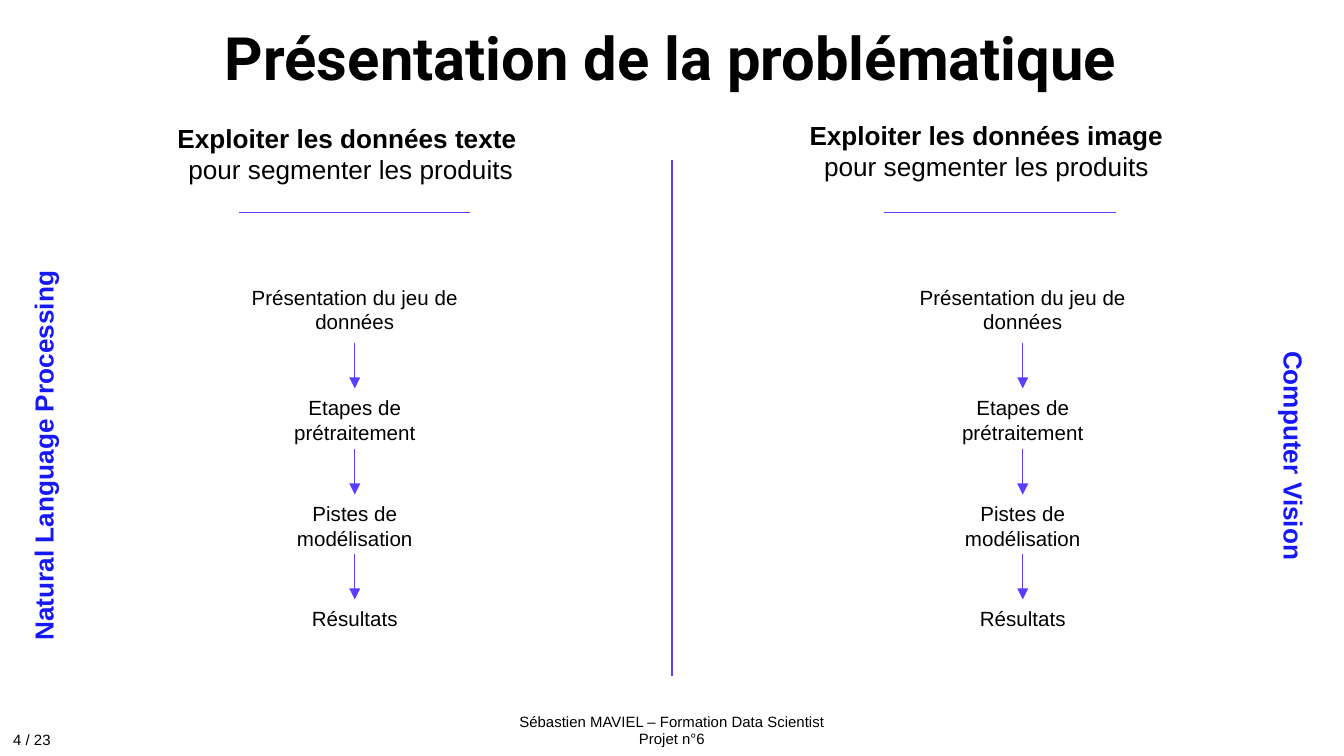
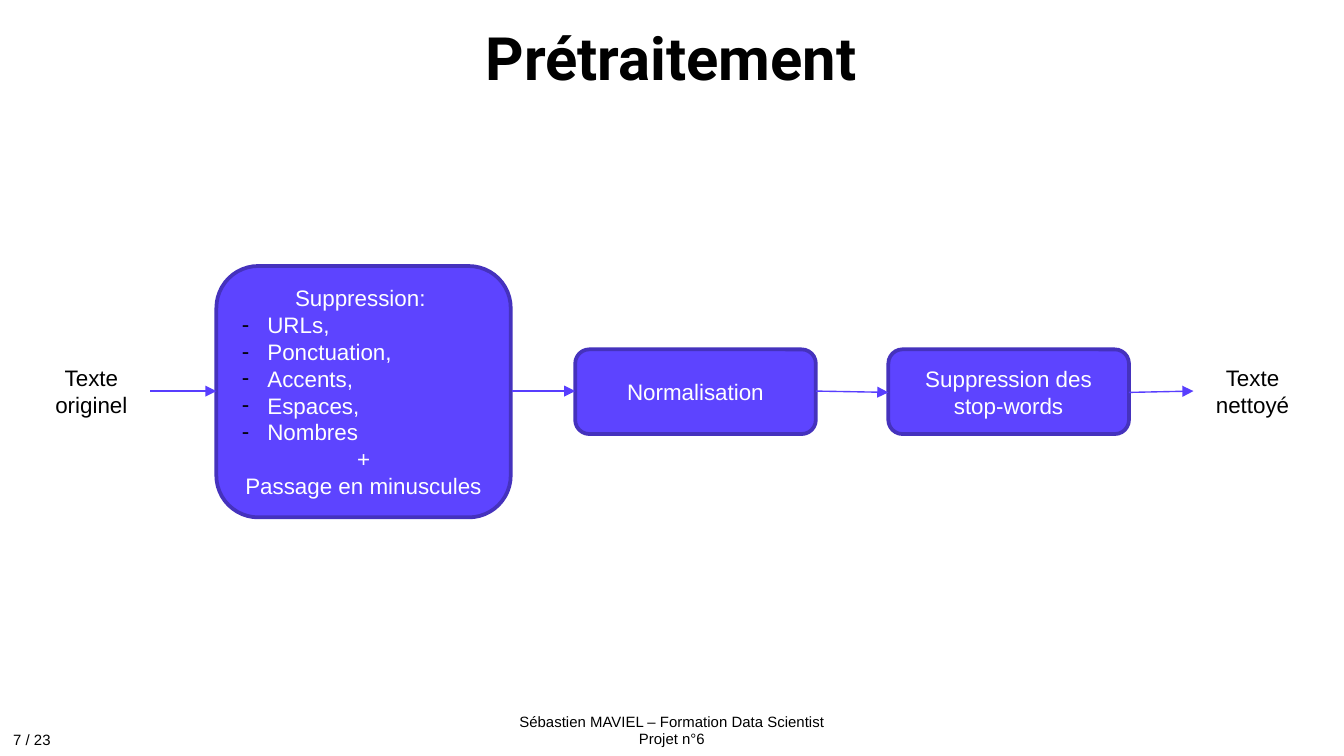
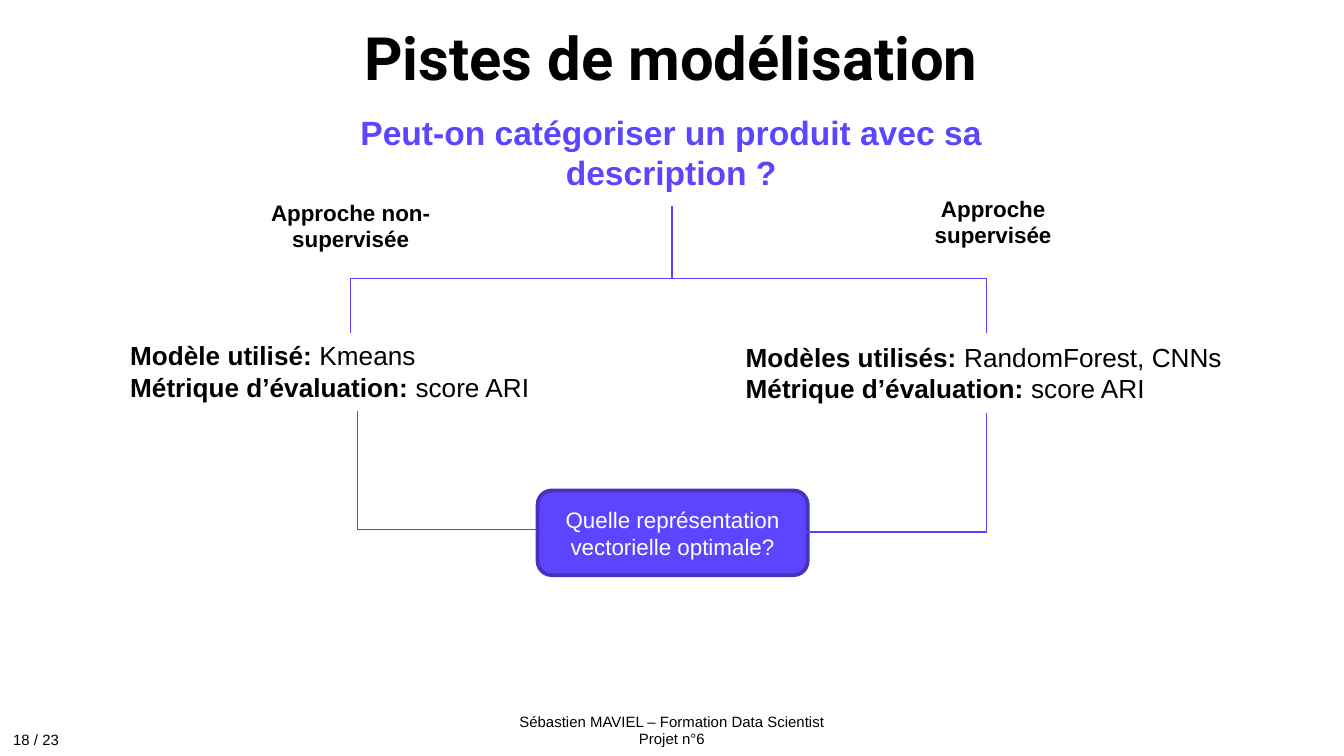
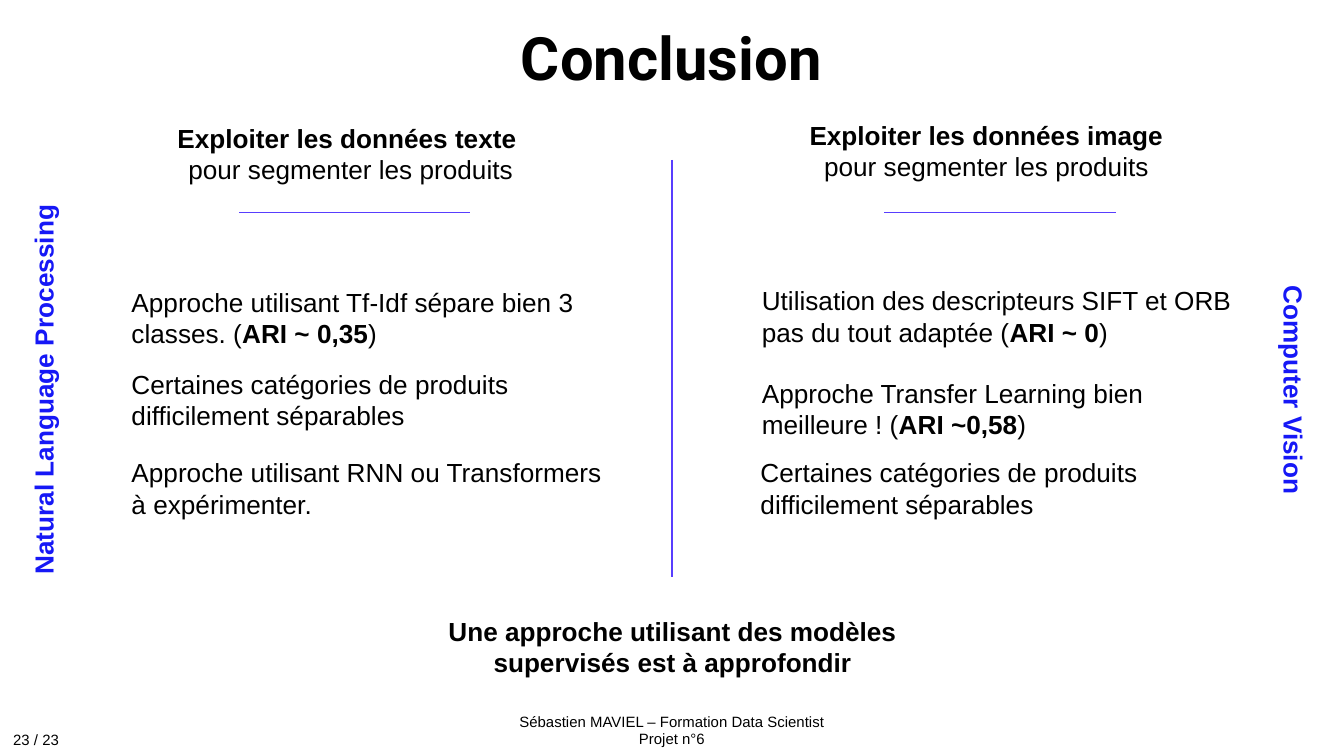
from lxml.etree import SubElement
from pptx import Presentation
from pptx.dml.color import RGBColor
from pptx.enum.shapes import MSO_CONNECTOR, MSO_SHAPE
from pptx.enum.text import MSO_ANCHOR, PP_ALIGN
from pptx.oxml.ns import qn
from pptx.util import Inches, Pt

COLORS = {
    "text": "000000",
    "white": "FFFFFF",
    "line": "583EFE",
    "accent": "5D44FF",
    "border": "4532BD",
    "label": "1618F6",
}
TOTAL_PAGES = 23
CENTER, LEFT = PP_ALIGN.CENTER, PP_ALIGN.LEFT


def add_text(slide, box, paragraphs, size=14, color="text", bold=False,
             align=CENTER, font="Arial", rounded=False):
    """Add a text box or rounded box; a paragraph is a string or (text, bold) runs.

    A string that starts with "- " becomes a bulleted line.
    """
    position = [Inches(length) for length in box]
    if rounded:
        shape = slide.shapes.add_shape(MSO_SHAPE.ROUNDED_RECTANGLE, *position)
        shape.shadow.inherit = False
        shape.fill.solid()
        shape.fill.fore_color.rgb = RGBColor.from_string(COLORS["accent"])
        shape.line.color.rgb = RGBColor.from_string(COLORS["border"])
        shape.line.width = Pt(2)
        shape.text_frame.vertical_anchor = MSO_ANCHOR.MIDDLE
    else:
        shape = slide.shapes.add_textbox(*position)
    frame = shape.text_frame
    frame.word_wrap = True
    for index, content in enumerate(paragraphs):
        paragraph = frame.paragraphs[0] if index == 0 else frame.add_paragraph()
        paragraph.alignment = align
        if isinstance(content, str) and content.startswith("- "):
            content = content[2:]
            paragraph.alignment = LEFT
            properties = paragraph._p.get_or_add_pPr()
            properties.set("marL", str(Inches(0.19)))
            properties.set("indent", str(-Inches(0.19)))
            bullet_color = SubElement(properties, qn("a:buClr"))
            SubElement(bullet_color, qn("a:srgbClr"), val=COLORS["text"])
            SubElement(properties, qn("a:buFont"), typeface=font)
            SubElement(properties, qn("a:buChar"), char="-")
        if isinstance(content, str):
            paragraph.add_run().text = content
            paragraph.font.bold = bold
        else:
            for text, run_bold in content:
                run = paragraph.add_run()
                run.text = text
                run.font.bold = run_bold
        paragraph.font.name = font
        paragraph.font.size = Pt(size)
        paragraph.font.color.rgb = RGBColor.from_string(COLORS[color])
    return shape


def add_line(slide, x1, y1, x2, y2, arrow=False, bent=False):
    """Add a line; a bent one runs horizontally first, then vertically."""
    kind = MSO_CONNECTOR.ELBOW if bent else MSO_CONNECTOR.STRAIGHT
    line = slide.shapes.add_connector(kind, Inches(x1), Inches(y1), Inches(x2), Inches(y2))
    line.line.color.rgb = RGBColor.from_string(COLORS["line"])
    line.line.width = Pt(0.75)
    properties = line._element.spPr
    if bent:
        properties.find(qn("a:prstGeom")).set("prst", "bentConnector2")
    if arrow:
        SubElement(properties.find(qn("a:ln")), qn("a:tailEnd"), type="triangle")
    SubElement(properties, qn("a:effectLst"))


# 16:9 page
prs = Presentation()
prs.slide_width = Inches(10)
prs.slide_height = prs.slide_width * 9 // 16

# Every slide: footer, page number and title
slides = []
for page, heading in [(4, "Présentation de la problématique"), (7, "Prétraitement"),
                      (18, "Pistes de modélisation"), (23, "Conclusion")]:
    slide = prs.slides.add_slide(prs.slide_layouts[6])
    add_text(slide, (3.21, 5.25, 3.58, 0.37),
             ["Sébastien MAVIEL – Formation Data Scientist", "Projet n°6"], size=8)
    add_text(slide, (0, 5.39, 0.67, 0.24), [f"{page} / {TOTAL_PAGES}"], size=8, align=LEFT)
    title = add_text(slide, (0.79, 0.16, 8.41, 0.63), [heading],
                     size=32, bold=True, font="Roboto")
    title.text_frame.margin_top = title.text_frame.margin_bottom = Inches(0.1)
    title.text_frame.paragraphs[0].line_spacing = 0.8
    slides.append(slide)
problem, preprocessing, modelling, conclusion = slides

# Two-column frame of the problem and conclusion slides
for slide, divider_end, label_top in [(problem, 5.03, 3.22), (conclusion, 4.29, 2.73)]:
    for left, top, goal in [(1.16, 0.86, "Exploiter les données texte "),
                            (5.89, 0.84, "Exploiter les données image")]:
        add_text(slide, (left, top, 2.9, 0.57),
                 [[(goal, True), (" pour segmenter les produits", False)]])
    add_line(slide, 5, 1.19, 5, divider_end)
    for left, rotation, field in [(-1.63, 270, "Natural Language Processing"),
                                  (7.67, 90, "Computer Vision")]:
        label = add_text(slide, (left, label_top, 3.91, 0.34), [field],
                         color="label", bold=True)
        label.rotation = rotation
    for left in (1.78, 6.58):
        add_line(slide, left, 1.58, left + 1.72, 1.58)

# Problem: the same four steps in each column
steps = [("Présentation du jeu de données", 2.07, 2.07),
         ("Etapes de prétraitement", 2.89, 1.57),
         ("Pistes de modélisation", 3.68, 1.57),
         ("Résultats", 4.46, 1.57)]
for center in (2.64, 7.61):
    for index, (step, top, width) in enumerate(steps):
        height = 0.29 if step == "Résultats" else 0.47
        add_text(problem, (center - width / 2, top, width, height), [step], size=11)
        if index:
            add_line(problem, center, top - 0.34, center, top, arrow=True)

# Preprocessing: chain from raw text to clean text
for left, state in [(0.24, "Texte originel"), (8.88, "Texte nettoyé")]:
    add_text(preprocessing, (left, 2.66, 0.88, 0.5), [state], size=12)
removal = ["Suppression: ", "- URLs,", "- Ponctuation,", "- Accents,", "- Espaces,",
           "- Nombres", "+", "Passage en minuscules"]
for box, treatment in [((1.61, 1.98, 2.19, 1.87), removal),
                       ((4.28, 2.6, 1.79, 0.63), ["Normalisation"]),
                       ((6.61, 2.6, 1.79, 0.63), ["Suppression des stop-words"])]:
    add_text(preprocessing, box, treatment, size=12, color="white", rounded=True)
for x1, y1, x2, y2 in [(1.12, 2.91, 1.61, 2.91), (3.81, 2.91, 4.28, 2.91),
                       (6.07, 2.91, 6.61, 2.92), (8.4, 2.92, 8.88, 2.91)]:
    add_line(preprocessing, x1, y1, x2, y2, arrow=True)

# Modelling: question, two approaches, shared open point
add_text(modelling, (2.56, 0.78, 4.87, 0.71),
         ["Peut-on catégoriser un produit avec sa description ?"],
         size=18, color="accent", bold=True)
add_line(modelling, 5, 2.07, 5, 1.53)
for branch_x in (2.61, 7.34):
    add_line(modelling, 5, 2.07, branch_x, 2.48, bent=True)
for left, top, approach in [(1.76, 1.43, "Approche non-supervisée"),
                            (6.54, 1.4, "Approche supervisée")]:
    add_text(modelling, (left, top, 1.7, 0.5), [approach], size=12, bold=True)
for box, models, names in [
        ((0.87, 2.48, 3.59, 0.57), "Modèle utilisé: ", "Kmeans"),
        ((5.45, 2.49, 3.78, 0.57), "Modèles utilisés: ", "RandomForest, CNNs")]:
    add_text(modelling, box,
             [[(models, True), (names, False)],
              [("Métrique d’évaluation: ", True), ("score ARI", False)]], align=LEFT)
add_text(modelling, (4, 3.65, 2.01, 0.63),
         ["Quelle représentation vectorielle optimale?"],
         size=12, color="white", rounded=True)
add_line(modelling, 4, 3.94, 2.66, 3.06, bent=True)
add_line(modelling, 6, 3.96, 7.34, 3.07, bent=True)

# Conclusion: findings for each column and closing statement
inseparable = "Certaines catégories de produits difficilement séparables"
findings = [
    (0.88, 2.08, [("Approche utilisant Tf-Idf sépare bien 3 classes. (", False),
                  ("ARI ~ 0,35", True), (")", False)]),
    (0.88, 2.69, inseparable),
    (0.88, 3.35, "Approche utilisant RNN ou Transformers à expérimenter."),
    (5.57, 2.07, [("Utilisation des descripteurs SIFT et ORB pas du tout adaptée (", False),
                  ("ARI ~ 0", True), (")", False)]),
    (5.57, 2.76, [("Approche Transfer Learning bien meilleure ! (", False),
                  ("ARI ~0,58", True), (")", False)]),
    (5.56, 3.35, inseparable),
]
for left, top, finding in findings:
    add_text(conclusion, (left, top, 3.79, 0.57), [finding], align=LEFT)
add_text(conclusion, (3.11, 4.53, 3.79, 0.57),
         ["Une approche utilisant des modèles supervisés est à approfondir"], bold=True)

prs.save("out.pptx")
